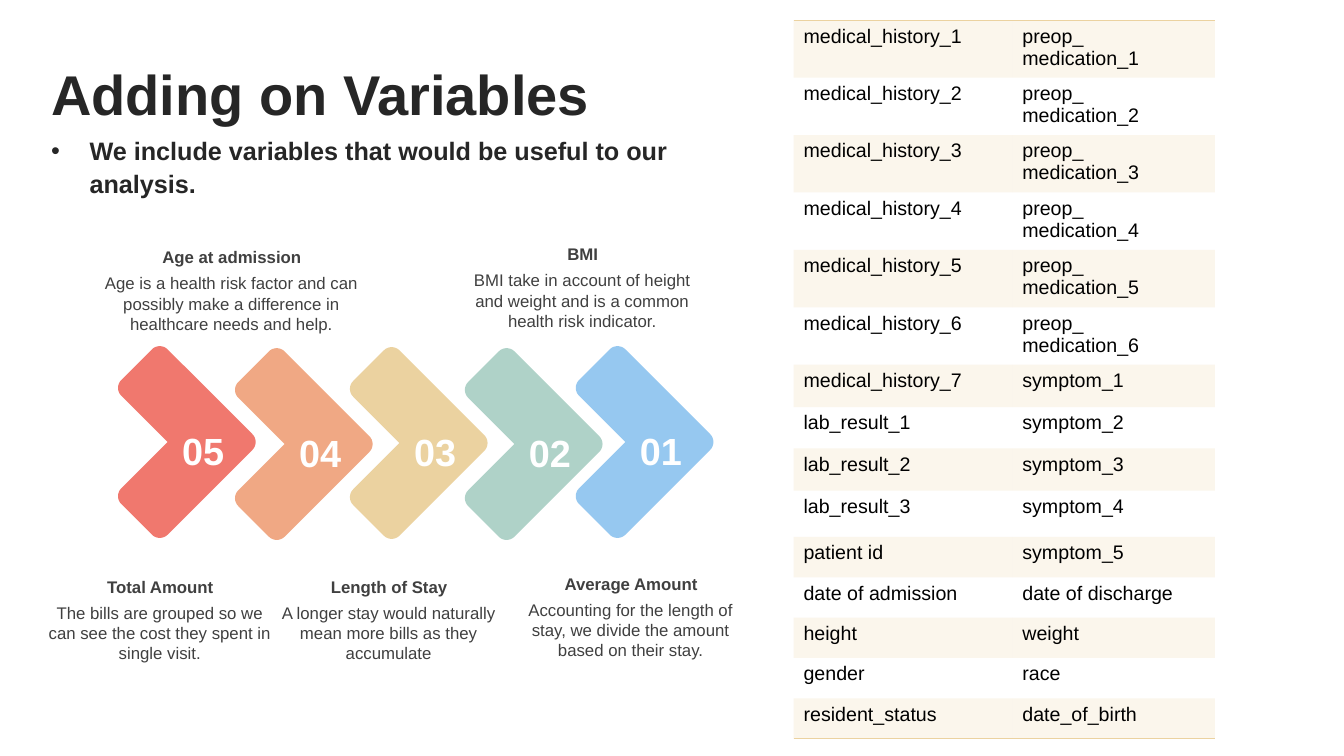
import math

from lxml import etree
from pptx import Presentation
from pptx.dml.color import RGBColor
from pptx.enum.text import MSO_ANCHOR, MSO_AUTO_SIZE, PP_ALIGN
from pptx.oxml.ns import qn
from pptx.util import Inches, Pt

CENTER, LEFT = PP_ALIGN.CENTER, PP_ALIGN.LEFT
MIDDLE = MSO_ANCHOR.MIDDLE
GROW = MSO_AUTO_SIZE.SHAPE_TO_FIT_TEXT

FONT = "Arial"
WHITE = RGBColor(0xFF, 0xFF, 0xFF)
BLACK = RGBColor(0x00, 0x00, 0x00)
DARK = RGBColor(0x26, 0x26, 0x26)
GREY = RGBColor(0x40, 0x40, 0x40)
RED = RGBColor(0xF0, 0x78, 0x6E)
ORANGE = RGBColor(0xF0, 0xA8, 0x84)
SAND = RGBColor(0xEB, 0xD2, 0xA0)
GREEN = RGBColor(0xAF, 0xD2, 0xC8)
BLUE = RGBColor(0x96, 0xC8, 0xF0)
NO_GRID_STYLE = "{2D5ABB26-0587-4C30-8999-92F81FD0307C}"

CHEVRONS = [
    ("05", 0.88, 3.68, RED),
    ("04", 2.04, 3.70, ORANGE),
    ("03", 3.18, 3.69, SAND),
    ("02", 4.32, 3.70, GREEN),
    ("01", 5.42, 3.68, BLUE),
]
CAPTIONS = [
    ("Age at admission", "Age is a health risk factor and can possibly make a "
     "difference in healthcare needs and help.", 0.89, 2.45, 2.81),
    ("BMI", "BMI take in account of height and weight and is a common health "
     "risk indicator.", 4.67, 2.42, 2.21),
    ("Total Amount", "The bills are grouped so we can see the cost they spent in "
     "single visit.", 0.48, 5.72, 2.21),
    ("Length of Stay", "A longer stay would naturally mean more bills as they "
     "accumulate", 2.75, 5.72, 2.21),
    ("Average Amount", "Accounting for the length of stay, we divide the amount "
     "based on their stay.", 5.15, 5.69, 2.21),
]
VARIABLES = [(f"medical_history_{n}", f"preop_\nmedication_{n}") for n in range(1, 7)] + [
    ("medical_history_7", "symptom_1"),
    ("lab_result_1", "symptom_2"),
    ("lab_result_2", "symptom_3"),
    ("lab_result_3", "symptom_4"),
    ("patient id", "symptom_5"),
    ("date of admission", "date of discharge"),
    ("height", "weight"),
    ("gender", "race"),
    ("resident_status", "date_of_birth"),
]
ROW_HEIGHTS = [0.57] * 6 + [0.42, 0.41, 0.42, 0.46] + [0.4] * 5


def style(p, size, color, bold=False, align=LEFT):
    """Format a paragraph and its runs."""
    p.alignment = align
    for r in p.runs:
        r.font.name, r.font.size, r.font.bold = FONT, Pt(size), bold
        r.font.color.rgb = color


def add_label(shapes, text, box, size, color, bold=False):
    """Add a centred text box without insets."""
    tf = shapes.add_textbox(*map(Inches, box)).text_frame
    tf.word_wrap, tf.auto_size = True, GROW
    tf.margin_left = tf.margin_top = tf.margin_right = tf.margin_bottom = 0
    tf.text = text
    style(tf.paragraphs[0], size, color, bold, CENTER)


def add_heading(s, left, top, width, height):
    """Add the title and the bullet under it."""
    tf = s.shapes.add_textbox(*map(Inches, (left, top, width, height))).text_frame
    tf.word_wrap, tf.vertical_anchor = True, MIDDLE
    tf.text = "Adding on Variables\nWe include variables that would be useful to our analysis."
    title, bullet = tf.paragraphs
    pPr = bullet._p.get_or_add_pPr()
    pPr.set("marL", str(Inches(0.38)))
    pPr.set("indent", str(-Inches(0.38)))
    etree.SubElement(pPr, qn("a:buFont")).set("typeface", FONT)
    etree.SubElement(pPr, qn("a:buChar")).set("char", "•")
    bullet.space_before = Pt(4)
    for p, size in ((title, 40), (bullet, 18)):
        p.line_spacing = 1.1
        style(p, size, DARK, bold=True)


def elbow_points(left, top, side, arm, radius):
    """Return the outline of an elbow with rounded outer corners."""
    inner = side - arm
    corners = [
        (side - radius, radius, 270),
        (side - radius, side - radius, 0),
        (radius, side - radius, 90),
        (radius, inner + radius, 180),
    ]
    points = [(inner, inner)]
    for cx, cy, start in [(inner + radius, radius, 180)] + corners:
        for step in range(9):
            angle = math.radians(start + step * 90 / 8)
            points.append((cx + radius * math.cos(angle), cy + radius * math.sin(angle)))
    return [(Inches(left + x), Inches(top + y)) for x, y in points]


def add_chevron(s, number, left, top, color):
    """Add an elbow turned to point right, with its number."""
    points = elbow_points(left, top, 1.41, 0.65, 0.11)
    builder = s.shapes.build_freeform(*points[0])
    builder.add_line_segments(points[1:], close=True)
    sp = builder.convert_to_shape()
    sp.rotation = 315
    sp.shadow.inherit = False
    sp.fill.solid()
    sp.fill.fore_color.rgb = color
    sp.line.fill.background()
    add_label(s.shapes, number, (left + 0.81, top + 0.56, 0.65, 0.45), 27, WHITE, True)


def add_caption(s, heading, body, left, top, width):
    """Add a grouped bold heading and body text."""
    shapes = s.shapes.add_group_shape().shapes
    add_label(shapes, body, (left, top + 0.26, width, 0.61), 12, GREY)
    add_label(shapes, heading, (left + 0.01, top, width - 0.01, 0.2), 12, GREY, True)


def add_border(cell, edge):
    """Add a thin sand line on one edge of a cell."""
    tcPr = cell._tc.get_or_add_tcPr()
    ln = etree.Element(qn(f"a:{edge}"), w=str(Pt(1)))
    fill = etree.SubElement(ln, qn("a:solidFill"))
    etree.SubElement(fill, qn("a:srgbClr")).set("val", str(SAND))
    tcPr.insert(0, ln)


def fill_cell(cell, text, shaded):
    """Write a cell and tint it when shaded."""
    cell.text = text
    for p in cell.text_frame.paragraphs:
        style(p, 14, BLACK)
    if not shaded:
        cell.fill.background()
        return
    cell.fill.solid()
    cell.fill.fore_color.rgb = SAND
    color = cell._tc.tcPr.find(".//" + qn("a:srgbClr"))
    etree.SubElement(color, qn("a:alpha")).set("val", "20000")


def add_variable_table(s, left, top, width):
    """Add the two-column table of variable names."""
    box = map(Inches, (left, top, width, sum(ROW_HEIGHTS)))
    table = s.shapes.add_table(len(VARIABLES), 2, *box).table
    table.first_row = table.horz_banding = False
    table._tbl.tblPr.find(qn("a:tableStyleId")).text = NO_GRID_STYLE
    table.columns[0].width = Inches(2.17)
    table.columns[1].width = Inches(width - 2.17)
    for i, (names, height) in enumerate(zip(VARIABLES, ROW_HEIGHTS)):
        table.rows[i].height = Inches(height)
        for j, name in enumerate(names):
            fill_cell(table.cell(i, j), name, i % 2 == 0)
    for j in range(2):
        add_border(table.cell(0, j), "lnT")
        add_border(table.cell(len(VARIABLES) - 1, j), "lnB")


def main():
    """Build the slide and save it."""
    prs = Presentation()
    prs.slide_width, prs.slide_height = Inches(13.33), Inches(7.5)
    s = prs.slides.add_slide(prs.slide_layouts[6])
    add_heading(s, 0.41, -0.04, 6.43, 2.58)
    for chevron in CHEVRONS:
        add_chevron(s, *chevron)
    for caption in CAPTIONS:
        add_caption(s, *caption)
    add_variable_table(s, 7.87, 0.2, 4.18)
    prs.save("out.pptx")


if __name__ == "__main__":
    main()
